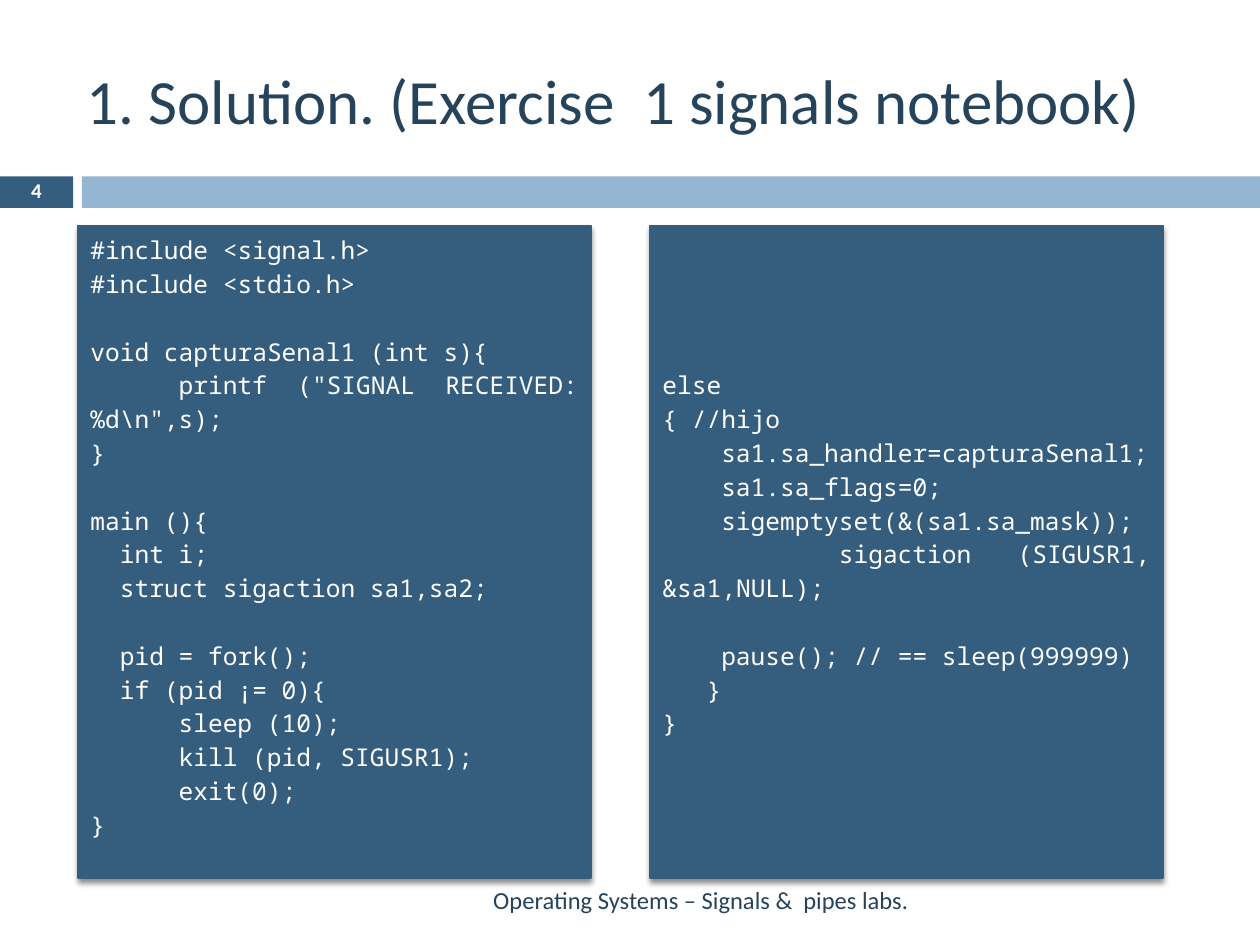
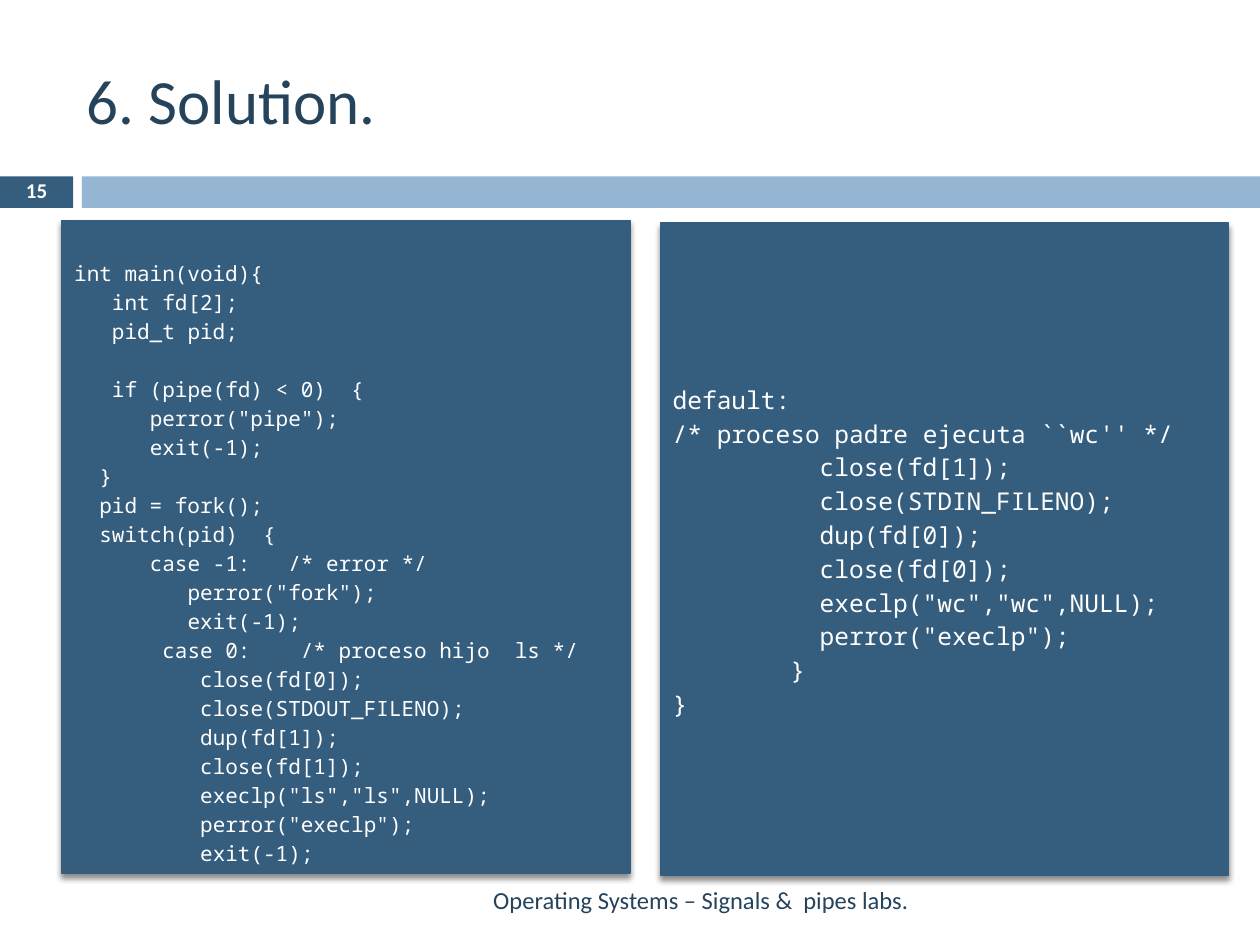
from lxml.etree import SubElement
from pptx import Presentation
from pptx.dml.color import RGBColor
from pptx.enum.shapes import MSO_SHAPE as Shape
from pptx.enum.text import MSO_ANCHOR as Anchor, PP_ALIGN as Align
from pptx.oxml.ns import qn
from pptx.util import Pt

SCALE = 9144
COLORS = {
    "panel": "345D7E",
    "band": "94B6D2",
    "heading": "26435C",
    "light": "FFFFFF",
    "shadow": "000000",
}
TEXT_FONT = "Calibri"
CODE_FONT = "Noto Sans Mono"
CODE_SPACING = 1.15
LINE_HEIGHT = 1.38
CHAR_WIDTH = 0.6
INSET = Pt(3.6)
FOOTER = "Operating Systems – Signals &  pipes labs."

SIGNAL_PARENT = r"""
#include <signal.h>
#include <stdio.h>

void capturaSenal1 (int s){
      printf ("SIGNAL RECEIVED: %d\n",s);
}

main (){
  int i;
  struct sigaction sa1,sa2;

  pid = fork();
  if (pid ¡= 0){
      sleep (10);
      kill (pid, SIGUSR1);
      exit(0);
}

"""

SIGNAL_CHILD = r"""
else
{ //hijo
    sa1.sa_handler=capturaSenal1;
    sa1.sa_flags=0;
    sigemptyset(&(sa1.sa_mask));
            sigaction (SIGUSR1, &sa1,NULL);

    pause(); // == sleep(999999)
   }
}
"""

PIPE_CHILD = r"""

int main(void){
   int fd[2];
   pid_t pid;

   if (pipe(fd) < 0)  {
      perror("pipe");
      exit(-1);
  }
  pid = fork();
  switch(pid)  {
      case -1:   /* error */
         perror("fork");
         exit(-1);
       case 0:    /* proceso hijo  ls */
          close(fd[0]);
          close(STDOUT_FILENO);
          dup(fd[1]);
          close(fd[1]);
          execlp("ls","ls",NULL);
          perror("execlp");
          exit(-1);
"""

PIPE_PARENT = r"""
default:
/* proceso padre ejecuta ``wc'' */
          close(fd[1]);
          close(STDIN_FILENO);
          dup(fd[0]);
          close(fd[0]);
          execlp("wc","wc",NULL);
          perror("execlp");
        }
}
"""


def color(name):
    return RGBColor.from_string(COLORS[name])


def px(*lengths):
    return [length * SCALE for length in lengths]


class LabDeck:
    def __init__(self):
        self.deck = Presentation()
        self.deck.slide_width, self.deck.slide_height = px(1000, 750)
        self.page = None

    def add_page(self, number, title):
        self.page = self.deck.slides.add_slide(self.deck.slide_layouts[6])
        self.rect((0, 140, 58, 25), "panel")
        self.rect((65, 140, 935, 25), "band")
        self.label(title, (59, 25, 953, 108), 36, "heading")
        badge = self.label(str(number), (0, 139, 58, 27), 12, "light", Align.CENTER)
        badge.font.bold = True
        badge.line_spacing = 0.8
        self.label(FOOTER, (138, 694, 593, 40), 14, "heading", Align.RIGHT)

    def rect(self, place, fill):
        box = self.page.shapes.add_shape(Shape.RECTANGLE, *px(*place))
        box.shadow.inherit = False
        box.fill.solid()
        box.fill.fore_color.rgb = color(fill)
        box.line.fill.background()
        return box

    def style(self, para, font, size, ink, align):
        para.font.name = font
        para.font.size = Pt(size)
        para.font.color.rgb = color(ink)
        para.alignment = align

    def label(self, text, place, size, ink, align=Align.LEFT):
        frame = self.page.shapes.add_textbox(*px(*place)).text_frame
        frame.word_wrap = True
        frame.vertical_anchor = Anchor.MIDDLE
        para = frame.paragraphs[0]
        para.text = text
        self.style(para, TEXT_FONT, size, ink, align)
        return para

    def drop_shadow(self, box):
        effects = box._element.spPr.find(qn("a:effectLst"))
        shadow = SubElement(effects, qn("a:outerShdw"), blurRad=str(Pt(3)),
                            dist=str(Pt(2.4)), dir="5400000", rotWithShape="0")
        ink = SubElement(shadow, qn("a:srgbClr"), val=COLORS["shadow"])
        SubElement(ink, qn("a:alpha"), val="45000")

    def code_panel(self, code, place, size=14):
        box = self.rect(place, "panel")
        box.line.color.rgb = color("panel")
        box.line.width = Pt(0.79)
        self.drop_shadow(box)
        frame = box.text_frame
        frame.word_wrap = True
        frame.vertical_anchor = Anchor.MIDDLE
        frame.margin_top = frame.margin_bottom = INSET
        row_height = Pt(size * LINE_HEIGHT)
        para, gap = None, 0
        for line in code.split("\n")[1:-1]:
            words = line.lstrip()
            if not words:
                gap += row_height
                continue
            if para is None:
                para = frame.paragraphs[0]
                frame.margin_top = INSET + gap
            else:
                para = frame.add_paragraph()
                para.space_before = gap
            gap = 0
            para.text = words
            para.line_spacing = CODE_SPACING
            self.style(para, CODE_FONT, size, "light", Align.JUSTIFY)
            indent = Pt((len(line) - len(words)) * size * CHAR_WIDTH)
            para._p.get_or_add_pPr().set("indent", str(indent))
        frame.margin_bottom = INSET + gap

    def save(self):
        self.deck.save("out.pptx")


def main():
    lab = LabDeck()
    lab.add_page(4, "1. Solution. (Exercise  1 signals notebook)")
    lab.code_panel(SIGNAL_PARENT, (62, 179, 407, 518))
    lab.code_panel(SIGNAL_CHILD, (516, 179, 407, 518))
    lab.add_page(15, "6. Solution.")
    lab.code_panel(PIPE_CHILD, (49, 175, 451, 518), size=12)
    lab.code_panel(PIPE_PARENT, (524, 177, 451, 518))
    lab.save()


if __name__ == "__main__":
    main()
